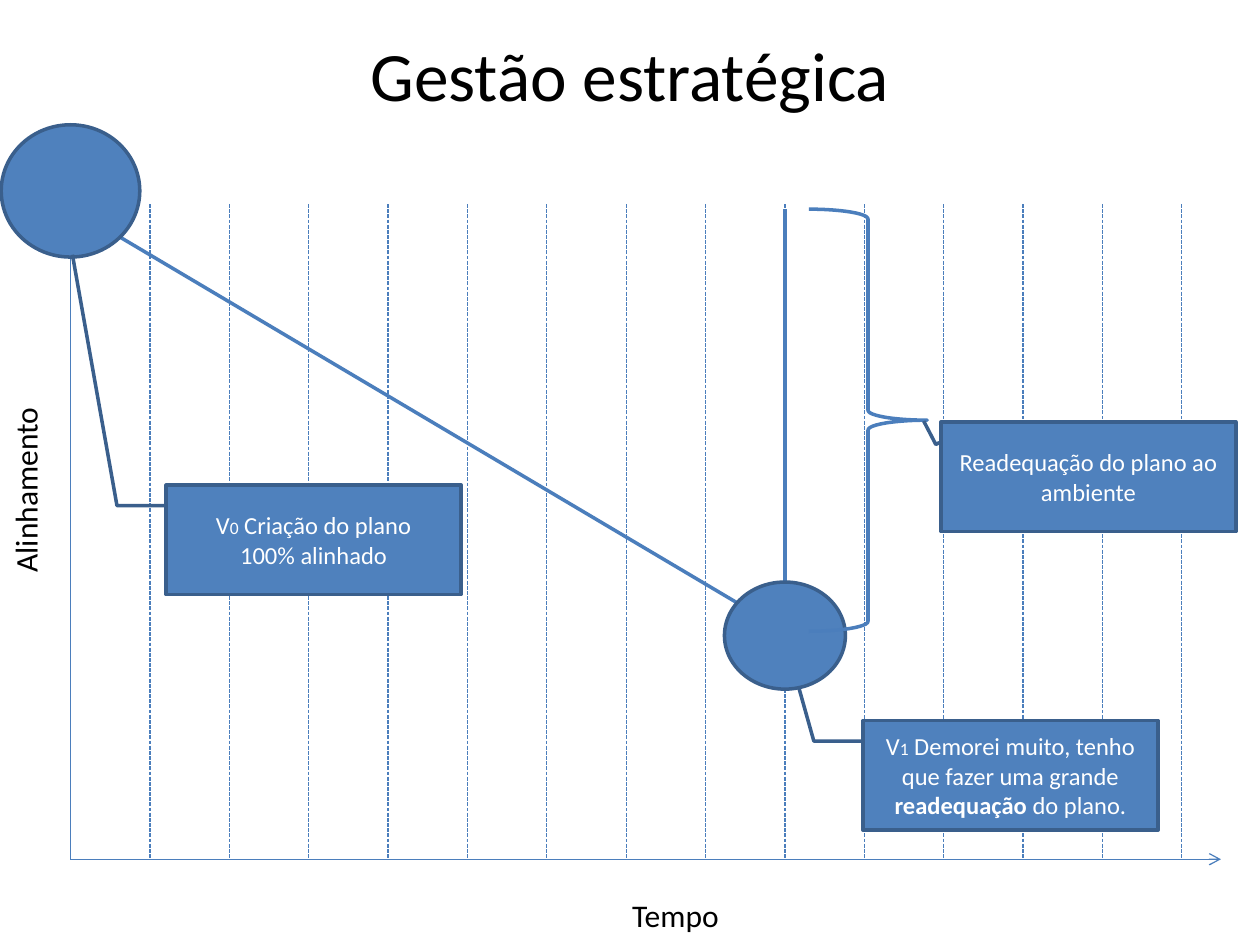
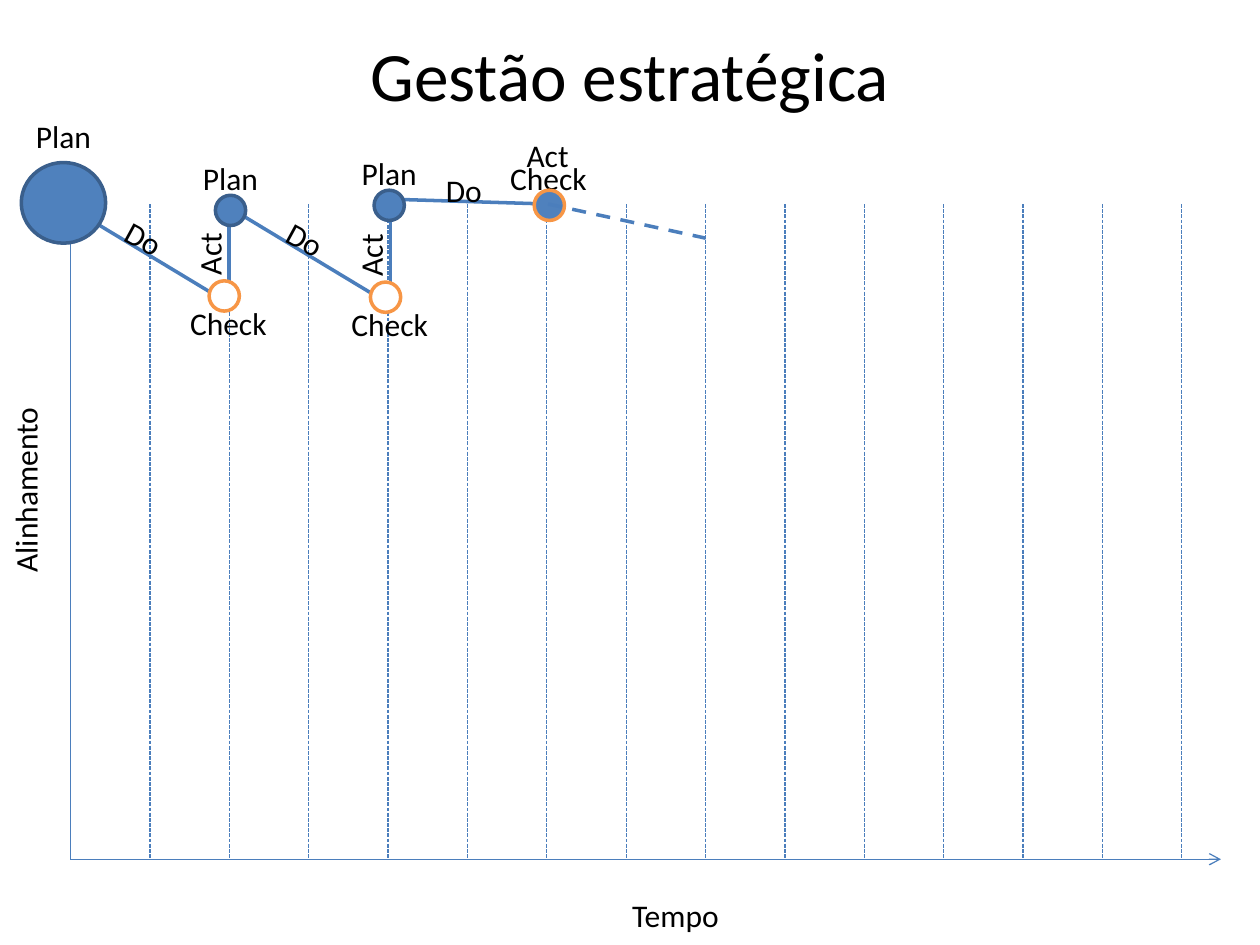
from lxml import etree
from pptx import Presentation
from pptx.dml.color import RGBColor
from pptx.enum.dml import MSO_LINE
from pptx.enum.shapes import MSO_CONNECTOR, MSO_SHAPE
from pptx.enum.text import MSO_ANCHOR, MSO_AUTO_SIZE, PP_ALIGN
from pptx.oxml.ns import qn
from pptx.util import Pt

STRAIGHT = MSO_CONNECTOR.STRAIGHT
ELLIPSE, BRACE, CALLOUT = MSO_SHAPE.OVAL, MSO_SHAPE.RIGHT_BRACE, MSO_SHAPE.LINE_CALLOUT_2
DASH, SMALL_DASH = MSO_LINE.DASH, MSO_LINE.SQUARE_DOT
MIDDLE, CENTER = MSO_ANCHOR.MIDDLE, PP_ALIGN.CENTER
FIT_SHAPE = MSO_AUTO_SIZE.SHAPE_TO_FIT_TEXT

FONT = "Calibri"
BLUE, EDGE, STROKE, ORANGE = "4F81BD", "3A5F8C", "4B7EBC", "F79646"
BLACK, WHITE = "000000", "FFFFFF"
THICK, THIN = 2, 0.75
LABEL_HEIGHT = 29
DOT = 17.3
SLIDE_BOX = (0, 0, 720, 540)
PLOT_BOX = (40.3, 116.6, 657.4, 374.4)


def color(hex_value):
    return RGBColor.from_string(hex_value)


def set_font(font, size, hex_value):
    font.name, font.size = FONT, Pt(size)
    font.color.rgb = color(hex_value)


def add_line(shapes, x1, y1, x2, y2, width=THICK, dash=None, arrow=False):
    line = shapes.add_connector(STRAIGHT, Pt(x1), Pt(y1), Pt(x2), Pt(y2))
    line.line.color.rgb = color(STROKE)
    line.line.width = Pt(width)
    if dash:
        line.line.dash_style = dash
    properties = line._element.spPr
    if arrow:
        etree.SubElement(properties.find(qn("a:ln")), qn("a:tailEnd"), type="arrow")
    etree.SubElement(properties, qn("a:effectLst"))


def add_shape(shapes, kind, box, fill=BLUE, edge=EDGE):
    shape = shapes.add_shape(kind, *map(Pt, box))
    shape.shadow.inherit = False
    if fill:
        shape.fill.solid()
        shape.fill.fore_color.rgb = color(fill)
    else:
        shape.fill.background()
    shape.line.color.rgb = color(edge)
    shape.line.width = Pt(THICK)
    return shape


def add_label(shapes, text, left, top, width, rotation=0):
    label = shapes.add_textbox(Pt(left), Pt(top), Pt(width), Pt(LABEL_HEIGHT))
    label.rotation = rotation
    frame = label.text_frame
    frame.word_wrap = False
    frame.auto_size = FIT_SHAPE
    frame.text = text
    set_font(frame.paragraphs[0].font, 18, BLACK)


def add_callout(shapes, left, top, pointer, lines):
    """Each line is a list of (text, size, bold) runs."""
    callout = add_shape(shapes, CALLOUT, (left, top, 168.5, 62.6))
    for index, value in enumerate((0.188, -0.006, *pointer)):
        callout.adjustments[index] = value
    frame = callout.text_frame
    frame.word_wrap = True
    frame.vertical_anchor = MIDDLE
    for index, runs in enumerate(lines):
        paragraph = frame.add_paragraph() if index else frame.paragraphs[0]
        paragraph.alignment = CENTER
        set_font(paragraph.font, 14, WHITE)
        for text, size, bold in runs:
            run = paragraph.add_run()
            run.text = text
            set_font(run.font, size, WHITE)
            run.font.bold = bold


def add_title(slide, box):
    left, top, width, _ = box
    title = slide.shapes.add_textbox(Pt(left + 36), Pt(top + 21.6), Pt(width - 72), Pt(90))
    frame = title.text_frame
    frame.word_wrap = True
    frame.vertical_anchor = MIDDLE
    # The text sits in the upper half of its box
    frame.margin_top, frame.margin_bottom = Pt(0), Pt(48.4)
    paragraph = frame.paragraphs[0]
    paragraph.text = "Gestão estratégica"
    paragraph.alignment = CENTER
    set_font(paragraph.font, 39.6, BLACK)


def add_time_grid(slide, box):
    left, top, width, height = box
    bottom, step = top + height, 45.36
    shapes = slide.shapes.add_group_shape().shapes
    # Axes
    add_line(shapes, left, top, left, bottom, THIN)
    add_line(shapes, left, bottom, left + width, bottom, THIN, arrow=True)
    # Time periods
    for period in range(1, 15):
        x = left + period * step
        add_line(shapes, x, top, x, bottom, THIN, SMALL_DASH)
    # Axis names
    add_label(slide.shapes, "Tempo", left + 313.9, bottom + 17.3, 64.8)
    add_label(slide.shapes, "Alinhamento", left - 80.6, top + 148.4, 109.4, 270)


def add_late_review(slide, box):
    """One long decline followed by a large readjustment."""
    left, top, _, _ = box
    shapes = slide.shapes
    review_x, review_y = left + 408.3, top + 244.1
    # Decline from the first plan
    add_line(shapes, left - 3.6, top, review_x, review_y)
    add_shape(shapes, ELLIPSE, (left - 39.6, top - 45.3, 79.2, 75.6))
    add_callout(shapes, left + 54.7, top + 160.6, (0.188, -0.167, -2.103, -0.318),
                [[("V", 14, False), ("0", 10, False), (" Criação do plano", 14, False)],
                 [("100% alinhado", 14, False)]])
    # Late second version
    add_line(shapes, review_x, review_y, review_x, top + 2.9)
    add_callout(shapes, left + 452.9, top + 295.2, (0.188, -0.167, -0.829, -0.273),
                [[("V", 14, False), ("1", 10, False),
                  (" Demorei muito, tenho que fazer uma grande ", 14, False),
                  ("readequação ", 14, True), ("do plano.", 14, False)]])
    add_shape(shapes, ELLIPSE, (left + 373.7, top + 216, 69.1, 61.2))
    # Size of the readjustment
    add_shape(shapes, BRACE, (left + 421.9, top + 2.9, 67.7, 241.2), None, STROKE)
    add_callout(shapes, left + 497.5, top + 124.6, (0.205, -0.018, -0.009, -0.059),
                [[("Readequação do plano ao ambiente", 14, False)]])


def add_plan(shapes, box, label_rise):
    left, top, width, _ = box
    add_shape(shapes, ELLIPSE, box)
    add_label(shapes, "Plan", left + width / 2 - 22.9, top - label_rise, 46.1)


def add_cycle(slide, left, top, plan_box, label_rise):
    """A Plan, Do, Check, Act round; the Do line starts at left, top."""
    shapes = slide.shapes.add_group_shape().shapes
    check_x, check_y = left + 94.3, top + 56.9
    add_label(shapes, "Check", left + 64.8, top + 53.3, 59)
    add_line(shapes, left, top, check_x, check_y)
    add_plan(shapes, plan_box, label_rise)
    add_line(shapes, check_x, check_y, check_x, top + 2.9)
    add_label(shapes, "Do", left + 28.1, top + 5, 35.3, 28.7)
    add_label(shapes, "Act", left + 63.4, top + 13.7, 38.9, 270)
    add_shape(shapes, ELLIPSE, (left + 82.8, top + 43.9, DOT, DOT), WHITE, ORANGE)


def add_short_cycles(slide, box):
    left, top, _, _ = box
    shapes = slide.shapes
    # Two full rounds
    add_cycle(slide, left - 3.6, top, (left - 28.1, top - 23.7, 48.2, 46.1), 29.5)
    add_cycle(slide, left + 88.6, top + 0.7, (left + 82.8, top - 5, DOT, DOT), 24.5)
    # Aligned round
    check_x = left + 272.9
    add_label(shapes, "Check", left + 244.1, top - 29.5, 59)
    add_line(shapes, left + 179.3, top - 2.9, check_x, top)
    add_plan(shapes, (left + 173.5, top - 7.9, DOT, DOT), 24.5)
    add_label(shapes, "Do", left + 207.4, top - 22.3, 35.3)
    add_label(shapes, "Act", left + 253.5, top - 42.4, 38.9)
    add_shape(shapes, ELLIPSE, (left + 265, top - 7.9, DOT, DOT), BLUE, ORANGE)
    # Next round
    add_line(shapes, check_x, top, left + 362.9, top + 19.5, dash=DASH)


def main():
    presentation = Presentation()
    presentation.slide_width, presentation.slide_height = Pt(720), Pt(540)
    for add_content in (add_late_review, add_short_cycles):
        slide = presentation.slides.add_slide(presentation.slide_layouts[6])
        add_title(slide, SLIDE_BOX)
        add_time_grid(slide, PLOT_BOX)
        add_content(slide, PLOT_BOX)
    presentation.save("out.pptx")


if __name__ == "__main__":
    main()
